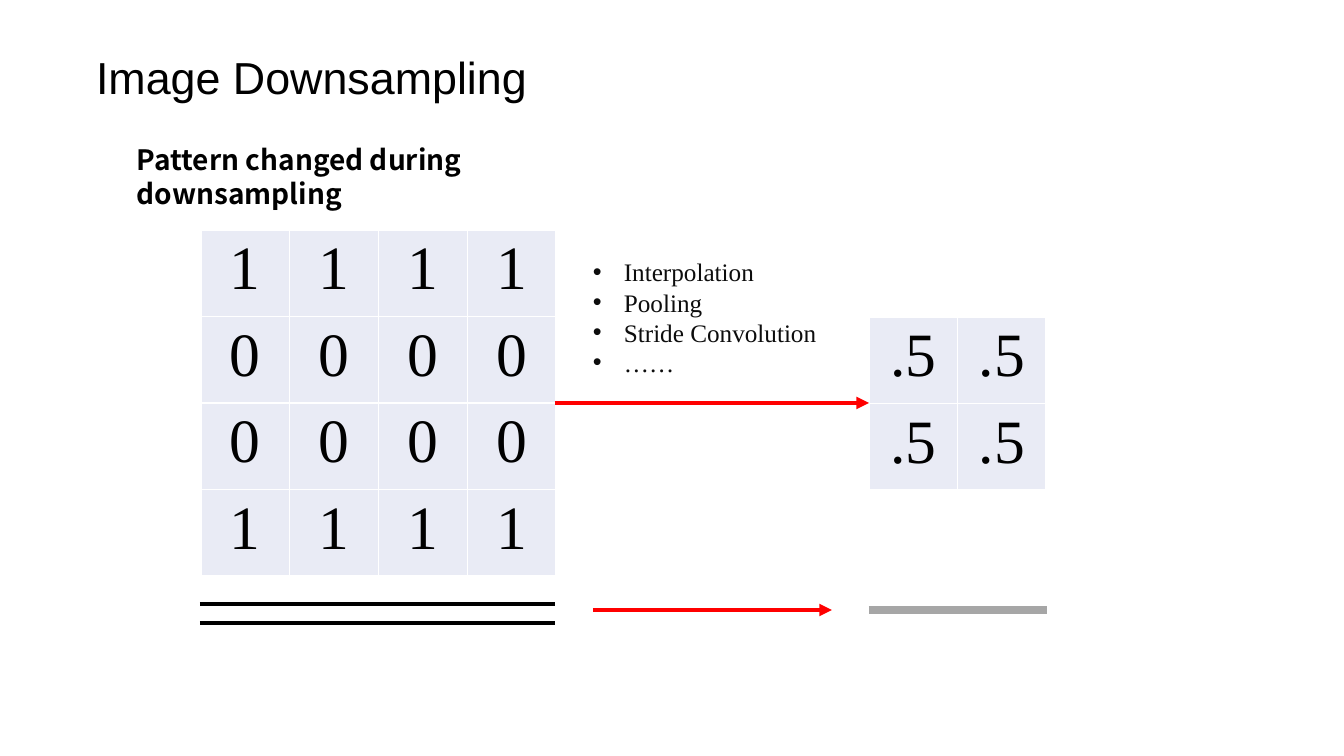
"""Build the Image Downsampling slide."""
from lxml import etree
from pptx import Presentation
from pptx.dml.color import RGBColor
from pptx.enum.shapes import MSO_CONNECTOR
from pptx.enum.text import MSO_ANCHOR, PP_ALIGN
from pptx.oxml.ns import qn
from pptx.util import Emu, Pt

STRAIGHT = MSO_CONNECTOR.STRAIGHT
LEFT, CENTER = PP_ALIGN.LEFT, PP_ALIGN.CENTER
BOTTOM = MSO_ANCHOR.BOTTOM
SANS, SERIF, HEADING = "Arial", "Times New Roman", "Noto Sans CJK SC"
COLORS = {
    "black": "000000",
    "ink": "0D0D0D",
    "red": "FF0000",
    "gray": "A6A6A6",
    "cell": "E9EBF5",
}


def px(length):
    return Emu(round(length * 914400 / 100.8))


def color(name):
    return RGBColor.from_string(COLORS[name])


def add_bullet(paragraph):
    properties = paragraph._p.get_or_add_pPr()
    properties.set("marL", str(px(82)))
    properties.set("indent", str(-px(31)))
    etree.SubElement(properties, qn("a:buFont")).set("typeface", SANS)
    etree.SubElement(properties, qn("a:buChar")).set("char", "•")


def write_text(frame, text, size, font, ink="black", bold=False,
               align=LEFT, line_height=None, bullets=False):
    for index, line in enumerate(text.split("\n")):
        paragraph = frame.paragraphs[0] if index == 0 else frame.add_paragraph()
        paragraph.alignment = align
        if line_height:
            paragraph.line_spacing = Pt(line_height)
        if bullets:
            add_bullet(paragraph)
        run = paragraph.add_run()
        run.text = line
        run.font.size = Pt(size)
        run.font.name = font
        run.font.bold = bold
        run.font.color.rgb = color(ink)
        if font == HEADING:
            east_asian = etree.SubElement(run._r.get_or_add_rPr(), qn("a:ea"))
            east_asian.set("typeface", font)


def add_title(slide, text):
    title = slide.shapes.title
    title.left, title.top, title.width, title.height = map(px, (86, 44, 1125, 65))
    title.text_frame.vertical_anchor = BOTTOM
    write_text(title.text_frame, text, size=32, font=SANS)


def add_text(slide, box, text, **text_format):
    frame = slide.shapes.add_textbox(*map(px, box)).text_frame
    frame.word_wrap = True
    write_text(frame, text, **text_format)


def add_matrix(slide, box, rows):
    table = slide.shapes.add_table(len(rows), len(rows[0]), *map(px, box)).table
    table.first_row = False
    table.horz_banding = False
    for row_index, row in enumerate(rows):
        for column_index, value in enumerate(row):
            cell = table.cell(row_index, column_index)
            cell.fill.solid()
            cell.fill.fore_color.rgb = color("cell")
            write_text(cell.text_frame, value, size=44, font=SERIF, align=CENTER)


def add_line(slide, start, end, y, ink, width=3, arrow=False):
    line = slide.shapes.add_connector(STRAIGHT, px(start), px(y), px(end), px(y))
    line.line.color.rgb = color(ink)
    line.line.width = Pt(width)
    if arrow:
        etree.SubElement(line.line._get_or_add_ln(), qn("a:tailEnd")).set("type", "triangle")
    etree.SubElement(line._element.spPr, qn("a:effectLst"))


def main():
    presentation = Presentation()
    presentation.slide_width, presentation.slide_height = px(1344), px(756)
    slide = presentation.slides.add_slide(presentation.slide_layouts[5])
    add_title(slide, "Image Downsampling")
    ones, zeros = ["1"] * 4, ["0"] * 4
    add_matrix(slide, (201, 230, 355, 346), [ones, zeros, zeros, ones])
    add_matrix(slide, (869, 317, 177, 173), [[".5"] * 2] * 2)
    for y in (604, 623):
        add_line(slide, 200, 555, y, "black")
    add_line(slide, 555, 869, 403, "red", arrow=True)
    add_line(slide, 593, 832, 610, "red", arrow=True)
    add_line(slide, 869, 1047, 610, "gray", width=6)
    add_text(slide, (532, 252, 299, 132),
             "Interpolation\nPooling\nStride Convolution\n……",
             size=18, font=SERIF, ink="ink", line_height=21.5, bullets=True)
    add_text(slide, (127, 138, 521, 44), "Pattern changed during downsampling",
             size=20, font=HEADING, bold=True, line_height=24)
    presentation.save("out.pptx")


if __name__ == "__main__":
    main()
